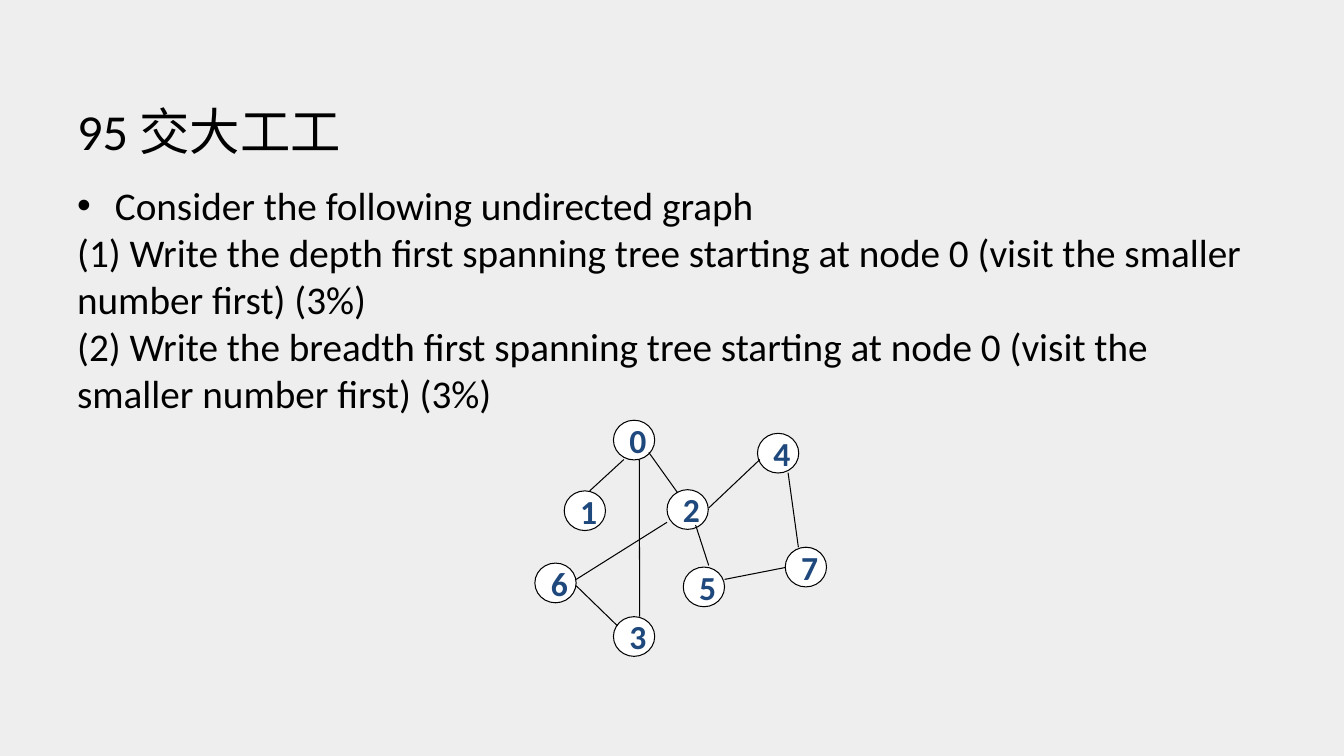
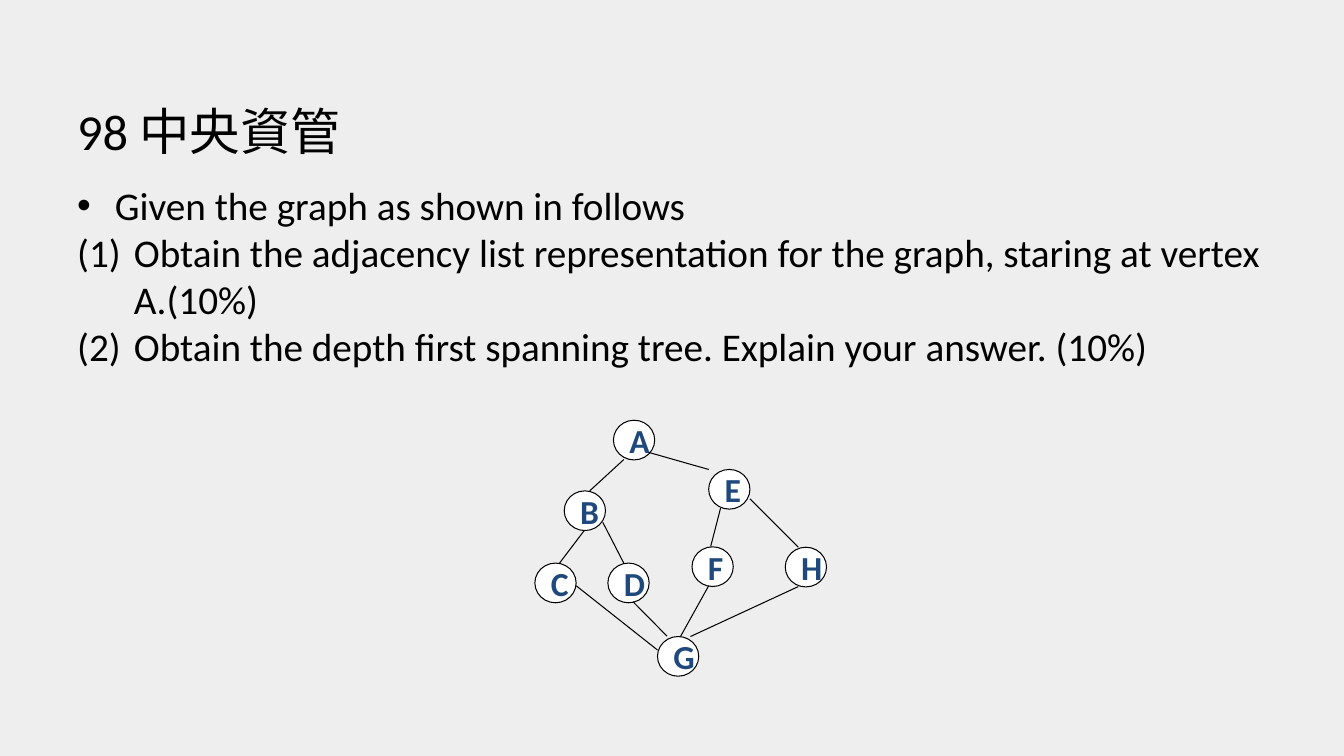
from lxml import etree
from pptx import Presentation
from pptx.dml.color import RGBColor
from pptx.enum.shapes import MSO_CONNECTOR, MSO_SHAPE
from pptx.enum.text import MSO_ANCHOR, MSO_AUTO_SIZE, PP_ALIGN
from pptx.oxml.ns import qn
from pptx.util import Cm, Pt

ELLIPSE = MSO_SHAPE.OVAL
STRAIGHT = MSO_CONNECTOR.STRAIGHT
LEFT = PP_ALIGN.LEFT
TOP, MIDDLE, BOTTOM = MSO_ANCHOR.TOP, MSO_ANCHOR.MIDDLE, MSO_ANCHOR.BOTTOM
NO_AUTOFIT = MSO_AUTO_SIZE.NONE

color = RGBColor.from_string
BACKGROUND, BLACK, WHITE, NAVY = "EEEEEE", "000000", "FFFFFF", "1F497D"
NODE_WIDTH, NODE_HEIGHT = Cm(1.04), Cm(1)
LINE_WIDTH = Pt(0.75)

TITLE_FORMAT = {"size": Pt(36), "name": "Calibri", "color": BLACK}
BODY_FORMAT = {"size": Pt(28), "name": "Calibri", "color": BLACK}
NODE_FORMAT = {"size": Pt(24), "name": "Calibri", "bold": True, "color": NAVY}

# Left, top, width, height in centimetres
TITLE_BOX = (1.69, 0.99, 30.48, 3.18)
BODY_BOX = (1.69, 4.44, 30.48, 12.57)

# Nodes: label to (left, top); edges: (x1, y1, x2, y2), in centimetres
questions = [
    {
        "title": "95 交大工工",
        "intro": "Consider the following undirected graph",
        "tasks": [
            "(1) Write the depth first spanning tree starting at node 0 (visit the smaller number first) (3%)",
            "(2) Write the breadth first spanning tree starting at node 0 (visit the smaller number first) (3%)",
        ],
        "numbered": False,
        "nodes": {
            "0": (15.46, 10.59), "1": (14.22, 12.37), "2": (16.81, 12.34), "3": (15.46, 15.54),
            "4": (19.09, 10.92), "5": (17.22, 14.29), "6": (13.48, 14.19), "7": (19.79, 13.79),
        },
        "edges": [
            (15.72, 11.58, 14.86, 12.37),
            (16.35, 11.4, 17.08, 12.42),
            (16.11, 11.58, 16.12, 15.54),
            (17.86, 12.8, 19.15, 11.58),
            (17.53, 13.23, 17.86, 14.25),
            (16.81, 13.16, 14.52, 14.6),
            (14.52, 14.76, 15.56, 15.77),
            (19.86, 11.91, 20.12, 13.79),
            (18.26, 14.6, 19.79, 14.3),
        ],
    },
    {
        "title": "98 中央資管",
        "intro": "Given the graph as shown in follows",
        "tasks": [
            "Obtain the adjacency list representation for the graph, staring at vertex A.(10%)",
            "Obtain the depth first spanning tree. Explain your answer. (10%)",
        ],
        "numbered": True,
        "nodes": {
            "A": (15.46, 10.59), "B": (14.22, 12.37), "C": (13.48, 14.19), "D": (15.32, 14.19),
            "E": (17.86, 11.83), "F": (17.44, 13.78), "G": (16.57, 16.04), "H": (19.79, 13.79),
        },
        "edges": [
            (15.72, 11.58, 14.86, 12.37),
            (16.35, 11.4, 17.86, 11.83),
            (14.73, 13.36, 14.1, 14.19),
            (15.19, 13.16, 15.72, 14.19),
            (14.52, 14.76, 16.57, 16.38),
            (15.95, 15.16, 16.81, 16.03),
            (18.16, 12.8, 17.91, 13.77),
            (18.9, 12.57, 20.12, 13.79),
            (17.86, 14.76, 17.15, 16.04),
            (20.12, 14.78, 17.4, 16.04),
        ],
    },
]


def format_paragraph(paragraph, font_format):
    paragraph.alignment = LEFT
    paragraph.space_before = Pt(0)
    for run in paragraph.runs:
        for name, value in font_format.items():
            if name == "color":
                run.font.color.rgb = color(value)
            else:
                setattr(run.font, name, value)


def set_list_marker(paragraph, numbered):
    """Number the paragraph as (1), (2) with a hanging indent, or remove its bullet."""
    properties = paragraph._p.get_or_add_pPr()
    indent = Cm(1.43) if numbered else Cm(0)
    properties.set("marL", str(indent))
    properties.set("indent", str(-indent))
    if numbered:
        font = etree.SubElement(properties, qn("a:buFont"))
        font.set("typeface", "+mj-lt")
        marker = etree.SubElement(properties, qn("a:buAutoNum"))
        marker.set("type", "arabicParenBoth")
    else:
        etree.SubElement(properties, qn("a:buNone"))


presentation = Presentation()
presentation.slide_width, presentation.slide_height = Cm(33.87), Cm(19.05)
master = presentation.slide_master
background = master.background.fill
background.solid()
background.fore_color.rgb = color(BACKGROUND)

# Keep one layout, with only its title and body
layout = presentation.slide_layouts[1]
for other_layout in list(presentation.slide_layouts):
    if other_layout.name != layout.name:
        presentation.slide_layouts.remove(other_layout)
for template in (master, layout):
    for placeholder in list(template.placeholders)[2:]:
        placeholder._element.getparent().remove(placeholder._element)
    for placeholder, box, anchor in zip(template.placeholders, (TITLE_BOX, BODY_BOX), (BOTTOM, TOP)):
        for name, value in zip(("left", "top", "width", "height"), box):
            setattr(placeholder, name, Cm(value))
        placeholder.text_frame.vertical_anchor = anchor
        placeholder.text_frame.auto_size = NO_AUTOFIT

for question in questions:
    slide = presentation.slides.add_slide(layout)
    slide.shapes.title.text_frame.text = question["title"]
    format_paragraph(slide.shapes.title.text_frame.paragraphs[0], TITLE_FORMAT)

    body = slide.placeholders[1].text_frame
    body.text = "\n".join([question["intro"], *question["tasks"]])
    for position, paragraph in enumerate(body.paragraphs):
        if position > 0:
            set_list_marker(paragraph, question["numbered"])
        format_paragraph(paragraph, BODY_FORMAT)

    for label, (left, top) in question["nodes"].items():
        node = slide.shapes.add_shape(ELLIPSE, Cm(left), Cm(top), NODE_WIDTH, NODE_HEIGHT)
        node.shadow.inherit = False
        node.fill.solid()
        node.fill.fore_color.rgb = color(WHITE)
        node.line.color.rgb = color(BLACK)
        node.line.width = LINE_WIDTH
        node.text_frame.text = label
        node.text_frame.word_wrap = False
        node.text_frame.vertical_anchor = MIDDLE
        format_paragraph(node.text_frame.paragraphs[0], NODE_FORMAT)

    for points in question["edges"]:
        edge = slide.shapes.add_connector(STRAIGHT, *(Cm(value) for value in points))
        edge.line.color.rgb = color(BLACK)
        edge.line.width = LINE_WIDTH
        etree.SubElement(edge._element.spPr, qn("a:effectLst"))

presentation.save("out.pptx")
